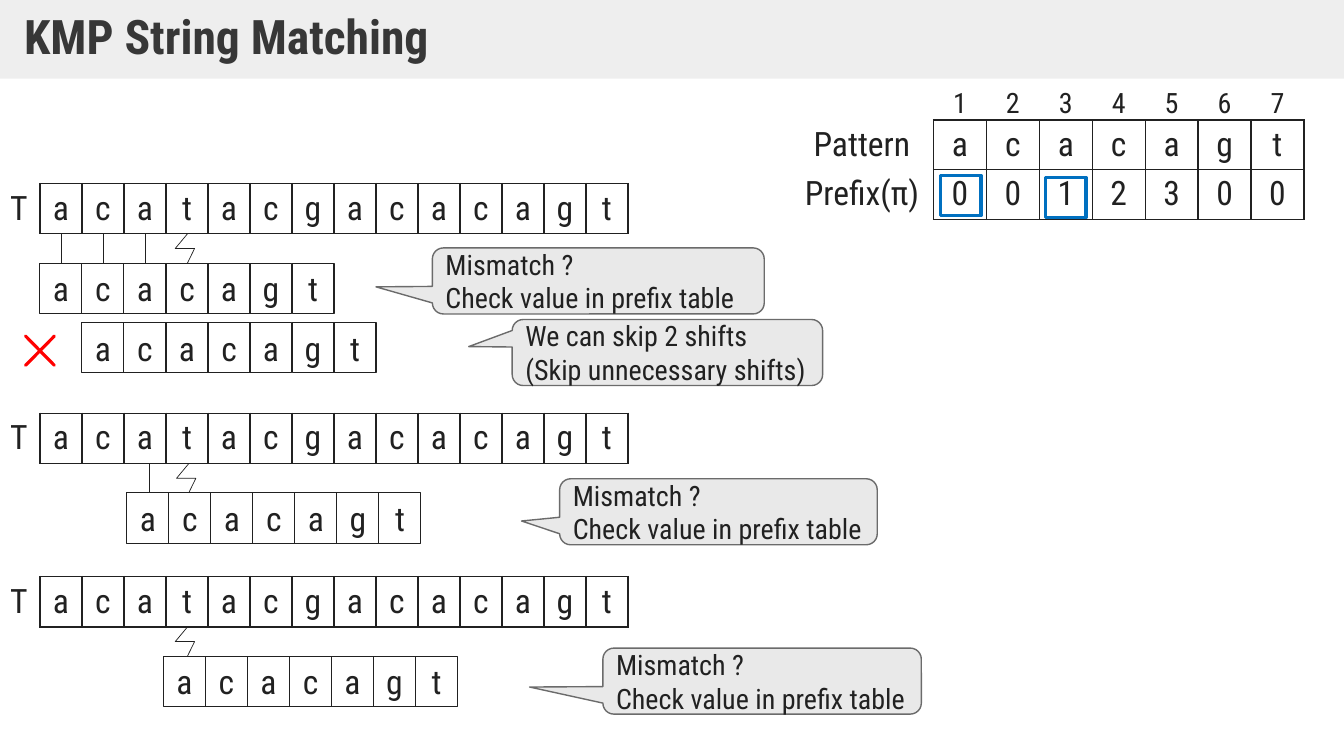
import pptx
import pptx.dml.color
import pptx.enum.shapes
import pptx.enum.text
import pptx.oxml
import pptx.oxml.ns
import pptx.util

FONT = "Roboto Condensed"
INK = "212121"
SHAPE = pptx.enum.shapes.MSO_SHAPE
ANCHOR = pptx.enum.text.MSO_ANCHOR
ALIGN = pptx.enum.text.PP_ALIGN

# The page grid: one column and one row hold one letter of the text.
GRID_LEFT, COLUMN, ROW = -0.02, 6.25 / 15, 0.5
GAP = 0.58  # rows between a text and the pattern below it

TEXT = "acatacgacacagt"
PATTERN = "acacagt"
PREFIX = "0012300"
NO_STYLE = "{2D5ABB26-0587-4C30-8999-92F81FD0307C}"


def color(value):
    return pptx.dml.color.RGBColor.from_string(value)


def across(columns):
    return pptx.util.Inches(columns * COLUMN)


def down(rows):
    return pptx.util.Inches(rows * ROW)


def at_column(column):
    return pptx.util.Inches(GRID_LEFT) + across(column)


def write(frame, text, size, align=ALIGN.CENTER, ink=INK, bold=False):
    frame.text = text
    for paragraph in frame.paragraphs:
        paragraph.alignment = align
        paragraph.font.name = FONT
        paragraph.font.size = pptx.util.Pt(size)
        paragraph.font.color.rgb = color(ink)
        paragraph.font.bold = bold


def style(shape, fill=None, line=None, weight=1):
    shape.shadow.inherit = False
    if fill:
        shape.fill.solid()
        shape.fill.fore_color.rgb = color(fill)
    else:
        shape.fill.background()
    if line:
        shape.line.color.rgb = color(line)
        shape.line.width = pptx.util.Pt(weight)
    else:
        shape.line.fill.background()


def add_box(page, kind, column, row, columns, rows, **look):
    box = page.shapes.add_shape(
        kind, at_column(column), down(row), across(columns), down(rows))
    style(box, **look)
    return box


def add_title(page, width, text):
    bar = page.shapes.add_shape(SHAPE.RECTANGLE, 0, 0, width, down(1.56))
    style(bar, fill="DFDFDF")
    shade = bar.fill._xPr.find(".//" + pptx.oxml.ns.qn("a:srgbClr"))
    shade.append(pptx.oxml.parse_xml(
        f'<a:alpha {pptx.oxml.ns.nsdecls("a")} val="50000"/>'))
    frame = bar.text_frame
    frame.margin_left = frame.margin_right = pptx.util.Inches(0.24)
    frame.vertical_anchor = ANCHOR.MIDDLE
    write(frame, text, 34, ALIGN.LEFT, "373737", True)
    frame.paragraphs[0].line_spacing = 0.9


def add_border(cell, side):
    """Draw one edge (L, R, T or B); call in that order, before the fill."""
    cell._tc.get_or_add_tcPr().append(pptx.oxml.parse_xml(
        f'<a:ln{side} {pptx.oxml.ns.nsdecls("a")} w="12700"><a:solidFill>'
        f'<a:srgbClr val="{INK}"/></a:solidFill></a:ln{side}>'))


def add_letter_table(page, column, row, widths, height, lines, header=0):
    """Draw rows of letters; the first column and header rows are unboxed."""
    frame = page.shapes.add_table(
        len(lines), len(widths), at_column(column), down(row),
        across(sum(widths)), down(height * len(lines)))
    frame._element.find(".//" + pptx.oxml.ns.qn("a:tableStyleId")).text = NO_STYLE
    table = frame.table
    table.first_row = table.horz_banding = False
    for index, width in enumerate(widths):
        table.columns[index].width = across(width)

    def boxed(line, place):
        return header <= line < len(lines) and 1 <= place < len(widths)

    neighbours = {"L": (0, -1), "R": (0, 1), "T": (-1, 0), "B": (1, 0)}
    for line, letters in enumerate(lines):
        table.rows[line].height = down(height)
        for place, letter in enumerate(letters):
            cell = table.cell(line, place)
            cell.margin_left = cell.margin_right = 0
            for side, (below, beside) in neighbours.items():
                if boxed(line, place) or boxed(line + below, place + beside):
                    add_border(cell, side)
            cell.fill.background()
            if line < header:
                cell.margin_bottom = 0
                cell.vertical_anchor = ANCHOR.BOTTOM
            else:
                cell.vertical_anchor = ANCHOR.MIDDLE
            write(cell.text_frame, letter, 20 if line < header else 24)


def add_prefix_table(page):
    numbers = [str(place) for place in range(1, len(PATTERN) + 1)]
    lines = [["", *numbers], ["Pattern", *PATTERN], ["Prefix(π)", *PREFIX]]
    widths = [3.41] + [1.26] * len(PATTERN)
    add_letter_table(page, 18.86, 1.4, widths, 0.98, lines, header=1)


def add_pattern(page, column, row):
    for place, letter in enumerate(PATTERN):
        box = add_box(page, SHAPE.RECTANGLE, column + place, row, 1, 1,
                      line=INK, weight=0.75)
        frame = box.text_frame
        frame.margin_left = frame.margin_right = 0
        frame.vertical_anchor = ANCHOR.MIDDLE
        write(frame, letter, 24)


def add_match(page, column, row):
    link = page.shapes.add_connector(
        pptx.enum.shapes.MSO_CONNECTOR.STRAIGHT, at_column(column), down(row),
        at_column(column), down(row + GAP))
    link.line.color.rgb = color(INK)
    link.line.width = pptx.util.Pt(0.5)
    link._element.spPr.append(pptx.oxml.parse_xml(
        f'<a:effectLst {pptx.oxml.ns.nsdecls("a")}/>'))


def add_mismatch(page, column, row):
    middle = row + GAP / 2
    corners = [(column + 0.29, row), (column, middle),
               (column + 0.46, middle), (column + 0.29, row + GAP)]
    start, *rest = [(at_column(x), down(y)) for x, y in corners]
    builder = page.shapes.build_freeform(*start)
    builder.add_line_segments(rest, close=False)
    style(builder.convert_to_shape(), line=INK, weight=0.5)


def add_callout(page, column, row, columns, text, tip):
    box = add_box(page, SHAPE.ROUNDED_RECTANGULAR_CALLOUT, column, row,
                  columns, 1.31, fill="E9E9E9", line="6B6B6B")
    box.adjustments[0], box.adjustments[1] = tip
    box.text_frame.vertical_anchor = ANCHOR.MIDDLE
    write(box.text_frame, text, 20, ALIGN.LEFT)


def add_alignment(page, row, shift, matches, mismatch):
    """Draw the text with the pattern below it, shifted by some columns."""
    add_letter_table(page, 0, row, [1] * (len(TEXT) + 1), 1, [["T", *TEXT]])
    add_pattern(page, shift, row + 1 + GAP)
    for column in matches:
        add_match(page, column, row + 1)
    add_mismatch(page, mismatch, row + 1)


def main():
    deck = pptx.Presentation()
    deck.slide_width = pptx.util.Inches(13.33)
    deck.slide_height = pptx.util.Inches(7.5)
    page = deck.slides.add_slide(deck.slide_layouts[6])

    add_title(page, deck.slide_width, "KMP String Matching")
    add_prefix_table(page)
    for column, row in [(22.44, 3.48), (24.94, 3.52)]:
        add_box(page, SHAPE.RECTANGLE, column, row, 0.96, 0.8,
                line="0070C0", weight=2.25)

    add_alignment(page, 3.64, 1, [1.5, 2.5, 3.5], 4.22)
    add_alignment(page, 8.2, 3.07, [3.6], 4.25)
    add_alignment(page, 11.44, 3.94, [], 4.22)

    add_pattern(page, 2, 6.4)
    cross = add_box(page, SHAPE.MATH_MULTIPLY, 0.34, 6.4, 1.32, 1.12,
                    fill="909090", line="FF0000", weight=2.25)
    cross.adjustments[0] = 0

    check = "Mismatch ?\nCheck value in prefix table"
    skip = "We can skip 2 shifts\n(Skip unnecessary shifts)"
    add_callout(page, 10.34, 4.92, 7.9, check, (-0.67, 0.09))
    add_callout(page, 12.24, 6.34, 7.39, skip, (-0.64, -0.09))
    add_callout(page, 13.37, 9.5, 7.56, check, (-0.62, 0.14))
    add_callout(page, 14.4, 12.86, 7.58, check, (-0.73, 0.09))

    deck.save("out.pptx")


if __name__ == "__main__":
    main()
